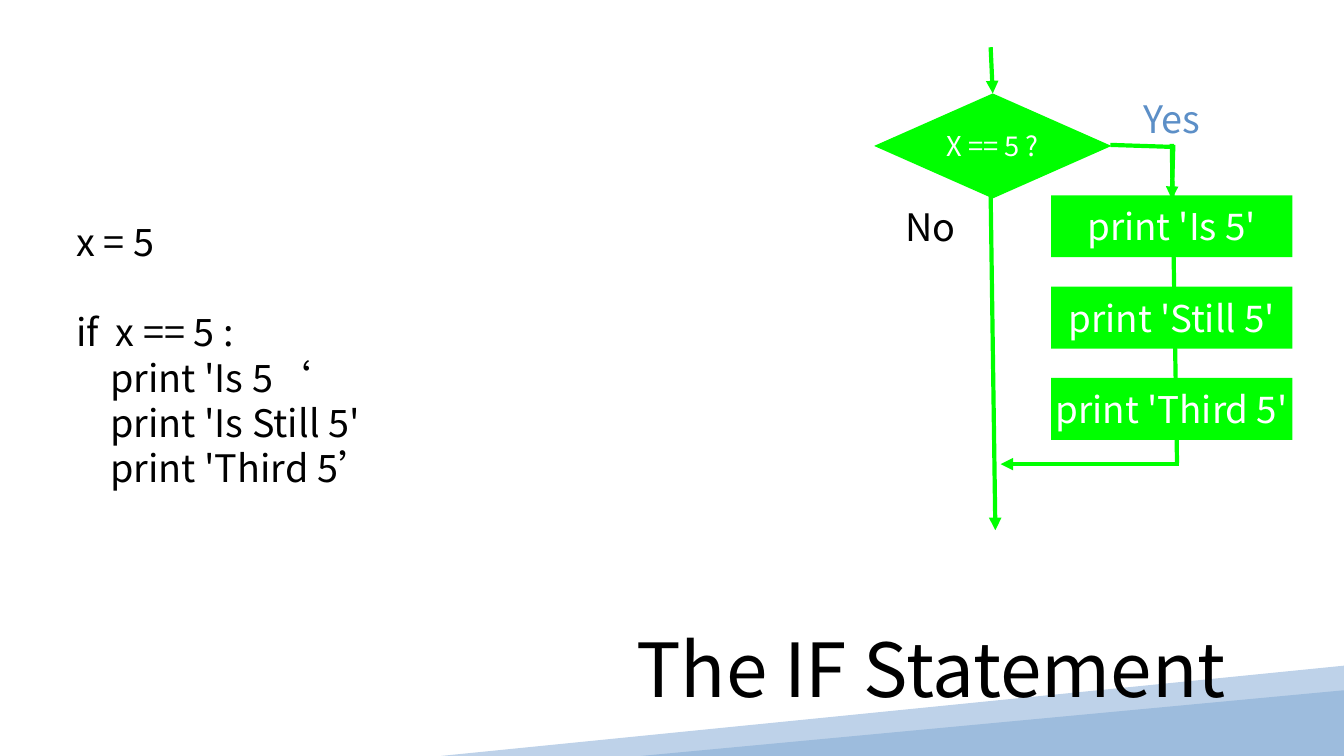
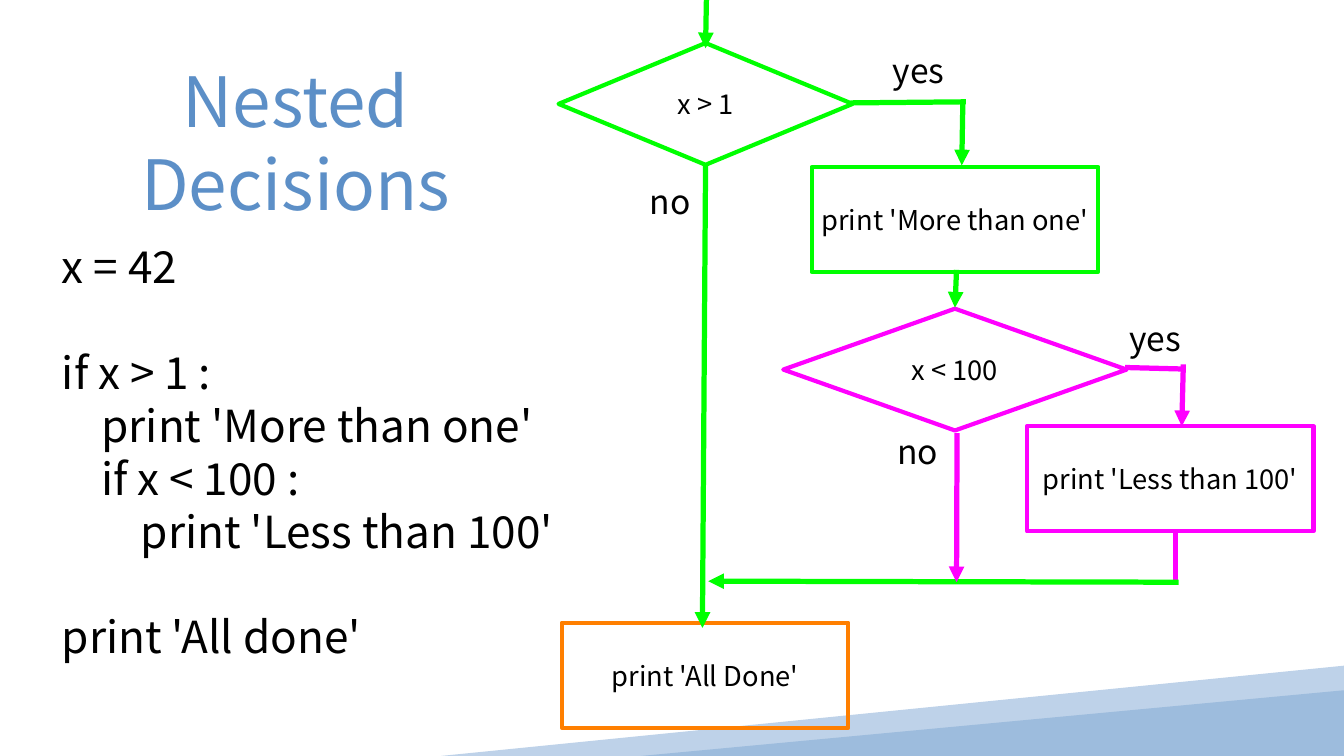
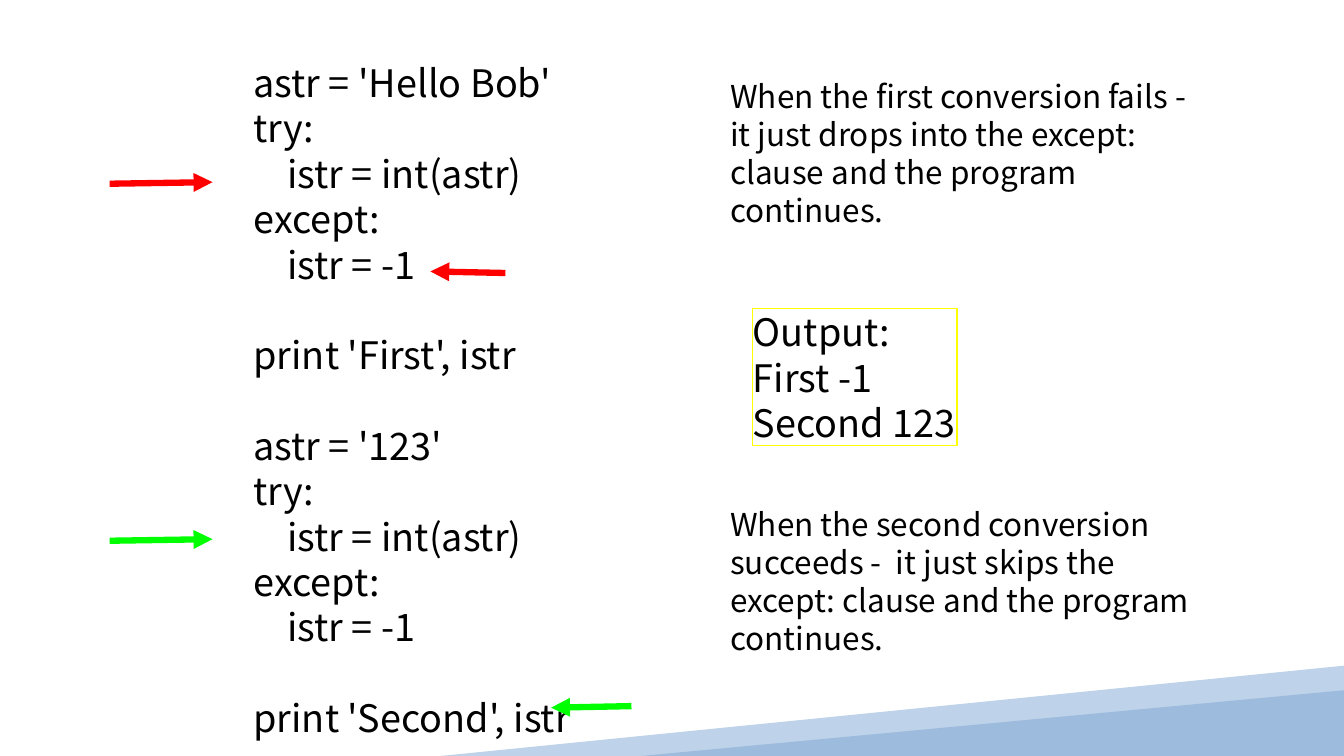
from dataclasses import dataclass

from lxml import etree
from pptx import Presentation
from pptx.dml.color import RGBColor
from pptx.enum.shapes import MSO_CONNECTOR as Connector, MSO_SHAPE as Preset
from pptx.enum.text import MSO_ANCHOR as Anchor, PP_ALIGN as Align
from pptx.oxml.ns import qn
from pptx.util import Pt


@dataclass(frozen=True)
class Theme:
    font: str = "Noto Sans CJK SC"
    black: str = "000000"
    white: str = "FFFFFF"
    blue: str = "5C8FC7"
    band_light: str = "BED2E9"
    band_dark: str = "9DBCDD"
    green: str = "00FF00"
    magenta: str = "FF00FF"
    orange: str = "FF7F00"
    yellow: str = "FFFF00"
    red: str = "FF0000"
    title: int = 71
    side_title: int = 66
    large_code: int = 42
    code: int = 36
    step: int = 35
    label: int = 32
    note: int = 30
    node: int = 26
    line_ratio: float = 1.2


@dataclass(frozen=True)
class Box:
    left: float
    top: float
    width: float
    height: float

    def inner(self, left, top, width, height):
        """Return a box whose place is counted from this box's corner."""
        return Box(self.left + left, self.top + top, width, height)

    def lengths(self):
        return [Pt(value) for value in (self.left, self.top, self.width, self.height)]


THEME = Theme()
PAGE = Box(0, 0, 1280, 720)


def rgb(value):
    return RGBColor.from_string(value)


def write(shape, lines, size, color=THEME.black, align=Align.LEFT, margin=0, wrap=True):
    """Set one paragraph per line; an empty line becomes space before the next."""
    frame = shape.text_frame
    frame.word_wrap = wrap
    frame.vertical_anchor = Anchor.MIDDLE
    frame.margin_left = frame.margin_right = Pt(margin)
    frame.margin_top = frame.margin_bottom = Pt(margin)
    para, gap = frame.paragraphs[0], False
    for line in lines:
        if not line:
            gap = True
            continue
        if para.text:
            para = frame.add_paragraph()
        para.text = line
        para.alignment = align
        para.line_spacing = Pt(size * THEME.line_ratio)
        if gap:
            para.space_before = Pt(size * THEME.line_ratio)
        gap = False
        for span in para.runs:
            span.font.size = Pt(size)
            span.font.name = THEME.font
            span.font.color.rgb = rgb(color)
            east_asian = etree.SubElement(span.font._element, qn("a:ea"))
            east_asian.set("typeface", THEME.font)


def add_text(page, box, lines, size, **style):
    write(page.shapes.add_textbox(*box.lengths()), lines, size, **style)


def add_label(page, box, text, size, color=THEME.black):
    add_text(page, box, [text], size, color=color, align=Align.CENTER, wrap=False)


def paint(shape, fill=None, line=None, weight=4):
    shape.shadow.inherit = False
    if fill:
        shape.fill.solid()
        shape.fill.fore_color.rgb = rgb(fill)
    else:
        shape.fill.background()
    if line:
        shape.line.color.rgb = rgb(line)
        shape.line.width = Pt(weight)
    else:
        shape.line.fill.background()


def add_node(page, preset, box, text, size, color=THEME.black, fill=None, line=None):
    node = page.shapes.add_shape(preset, *box.lengths())
    paint(node, fill, line)
    write(node, [text], size, color=color, align=Align.CENTER)


def add_line(page, box, start, end, color, weight, arrow=True):
    """Draw from start to end, counted from the box corner, with the tip at end."""
    ends = [Pt(value) for x, y in (start, end) for value in (box.left + x, box.top + y)]
    line = page.shapes.add_connector(Connector.STRAIGHT, *ends)
    line.line.color.rgb = rgb(color)
    line.line.width = Pt(weight)
    if arrow:
        tip = etree.SubElement(line.line._get_or_add_ln(), qn("a:tailEnd"))
        tip.set("type", "triangle")
    etree.SubElement(line._element.spPr, qn("a:effectLst"))


def add_bands(page, box):
    right, bottom = box.left + box.width, box.top + box.height
    outline = page.shapes.build_freeform(Pt(right), Pt(bottom - 86))
    outline.add_line_segments([(Pt(right), Pt(bottom - 6)),
                               (Pt(right - 419), Pt(bottom)),
                               (Pt(right - 860), Pt(bottom))])
    paint(outline.convert_to_shape(), THEME.band_light)
    wedge_box = Box(right - 669.6, bottom - 62.6, 669.6, 62.6)
    wedge = page.shapes.add_shape(Preset.ISOSCELES_TRIANGLE, *wedge_box.lengths())
    wedge.adjustments[0] = 1
    paint(wedge, THEME.band_dark)


def add_page(deck):
    page = deck.slides.add_slide(deck.slide_layouts[6])
    add_bands(page, PAGE)
    return page


def add_title(page, box, text, size, color):
    add_text(page, box, [text], size, color=color, align=Align.CENTER, margin=3)


def draw_if_flow(page, box):
    for start, end, arrow in [
        ((111, 0), (113, 44), True),
        ((111, 140), (115.5, 460), True),
        ((225, 93), (286, 95), False),
        ((285, 93), (283.5, 144.5), True),
        ((283.5, 92), (288.5, 396), False),
        ((290, 397), (120.5, 397), True),
    ]:
        add_line(page, box, start, end, THEME.green, 4, arrow)
    add_node(page, Preset.DIAMOND, box.inner(0, 44, 226, 100), "X == 5 ?", THEME.node,
             color=THEME.white, fill=THEME.green)
    for row, text in enumerate(["print 'Is 5'", "print 'Still 5'", "print 'Third 5'"]):
        add_node(page, Preset.RECTANGLE, box.inner(168.5, 141 + 87 * row, 230, 59), text,
                 THEME.step, color=THEME.white, fill=THEME.green)
    add_label(page, box.inner(254.5, 45.7, 58.3, 43.2), "Yes", THEME.code, THEME.blue)
    add_label(page, box.inner(29, 148.7, 49, 43.2), "No", THEME.code)


def draw_nested_flow(page, box):
    green, magenta = THEME.green, THEME.magenta
    for preset, place, text, color in [
        (Preset.DIAMOND, (0, 41, 280, 116), "x > 1", green),
        (Preset.RECTANGLE, (241, 159, 273, 100), "print 'More than one'", green),
        (Preset.DIAMOND, (214, 294, 327, 116), "x < 100", magenta),
        (Preset.RECTANGLE, (446, 406, 273, 100), "print 'Less than 100'", magenta),
        (Preset.RECTANGLE, (3, 593, 273, 100), "print 'All Done'", THEME.orange),
    ]:
        add_node(page, preset, box.inner(*place), text, THEME.node, line=color)
    for start, end, color, arrow in [
        ((278, 98), (388, 97), green, False),
        ((385, 98.5), (384, 157.5), green, True),
        ((140, 155.5), (137, 598), green, True),
        ((539.5, 350), (597, 351.5), magenta, False),
        ((595, 347), (593.5, 406), magenta, True),
        ((379, 257), (377.5, 293), green, True),
        ((587.5, 508), (587.5, 552), magenta, False),
        ((590.5, 554.5), (142.5, 553.5), green, True),
        ((141, -12), (140, 46), green, True),
        ((379.5, 412.5), (379, 554.5), magenta, True),
    ]:
        add_line(page, box, start, end, color, 5, arrow)
    for left, top, text in [(318, 48, "yes"), (543.5, 302.5, "yes"),
                            (322.5, 410.5, "no"), (87, 172, "no")]:
        width = 50 if text == "yes" else 39
        add_label(page, box.inner(left, top, width, 38.4), text, THEME.label)


def draw_trace(page, box):
    """Place the code with arrows beside the lines that run."""
    add_text(page, box.inner(137, 43, 320, 648), [
        "astr = 'Hello Bob'", "try:", "    istr = int(astr)", "except:", "    istr = -1",
        "", "print 'First', istr",
        "", "astr = '123'", "try:", "    istr = int(astr)", "except:", "    istr = -1",
        "", "print 'Second', istr"], THEME.code)
    for start, end, color in [
        ((0, 161), (98, 159.5), THEME.red),
        ((377, 246), (305.5, 244.5), THEME.red),
        ((0, 501), (98, 499.5), THEME.green),
        ((497, 658.5), (420.5, 660), THEME.green),
    ]:
        add_line(page, box, start, end, color, 6)


def draw_notes(page, box):
    """Place the two remarks with the program's output between them."""
    for top, text in [
        (0, "When the first conversion fails -  it just drops into the except: "
            "clause and the program continues."),
        (407.5, "When the second conversion succeeds -  it just skips the except: "
                "clause and the program continues."),
    ]:
        add_text(page, box.inner(0, top, box.width, 113), [text], THEME.note)
    output = page.shapes.add_shape(Preset.RECTANGLE,
                                   *box.inner(21.5, 205, 194.5, 129.6).lengths())
    paint(output, line=THEME.yellow, weight=1)
    write(output, ["Output:", "First -1", "Second 123"], THEME.code, wrap=False)


def build_if_page(deck):
    page = add_page(deck)
    add_title(page, Box(513.5, 545, 746.5, 181), "The IF Statement", THEME.title, THEME.black)
    add_text(page, Box(72.7, 208, 817, 259.2), [
        "x = 5", "", "if  x == 5 :", "    print 'Is 5‘", "    print 'Is Still 5'",
        "    print 'Third 5’"], THEME.code)
    draw_if_flow(page, Box(832.5, 45, 398.5, 460))


def build_nested_page(deck):
    page = add_page(deck)
    draw_nested_flow(page, Box(532, 0, 719, 693))
    add_text(page, Box(59, 228, 483, 403.2), [
        "x = 42", "", "if x > 1 :", "    print 'More than one'", "    if x < 100 :",
        "        print 'Less than 100'", "", "print 'All done'"], THEME.large_code)
    add_title(page, Box(92, 44, 379, 181), "Nested Decisions", THEME.side_title, THEME.blue)


def build_try_page(deck):
    page = add_page(deck)
    draw_trace(page, Box(104.4, 14, 497, 691))
    draw_notes(page, Box(695.5, 89.3, 463.7, 520.5))


def main():
    deck = Presentation()
    deck.slide_width, deck.slide_height = Pt(PAGE.width), Pt(PAGE.height)
    for build in (build_if_page, build_nested_page, build_try_page):
        build(deck)
    deck.save("out.pptx")


if __name__ == "__main__":
    main()
